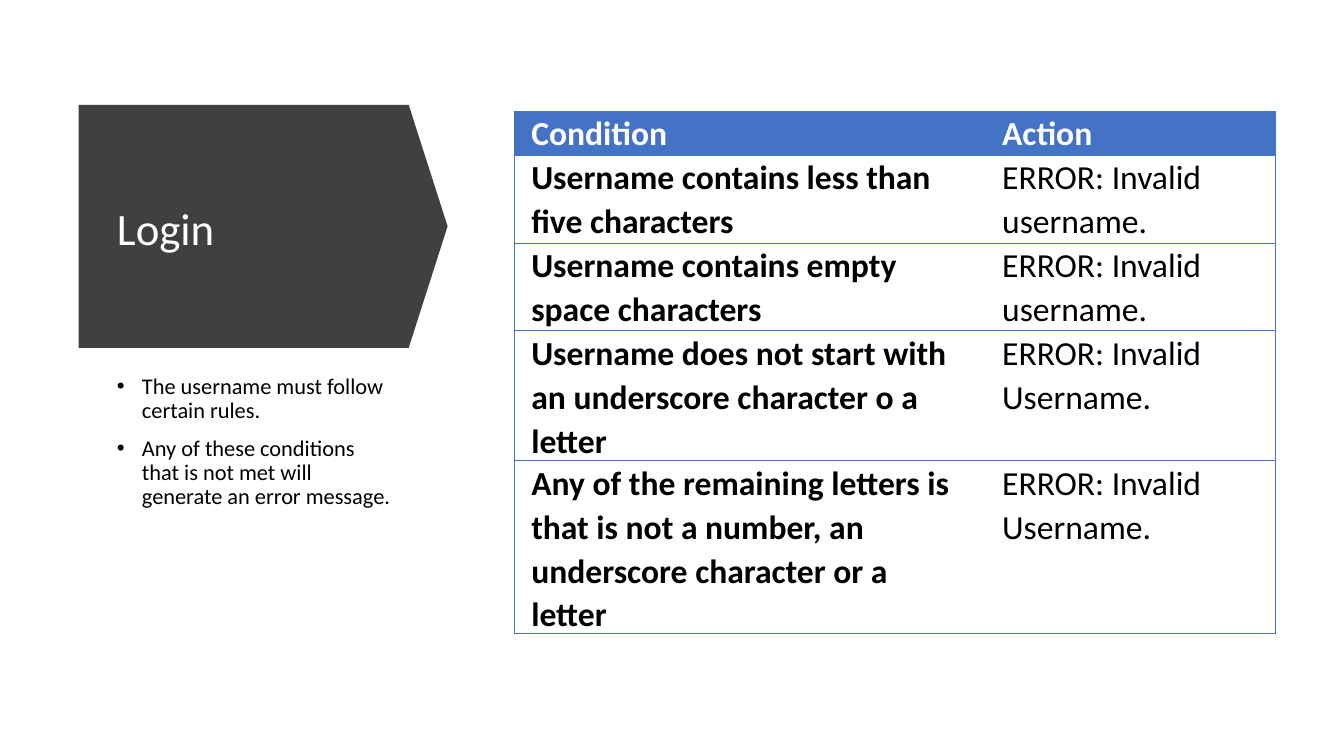
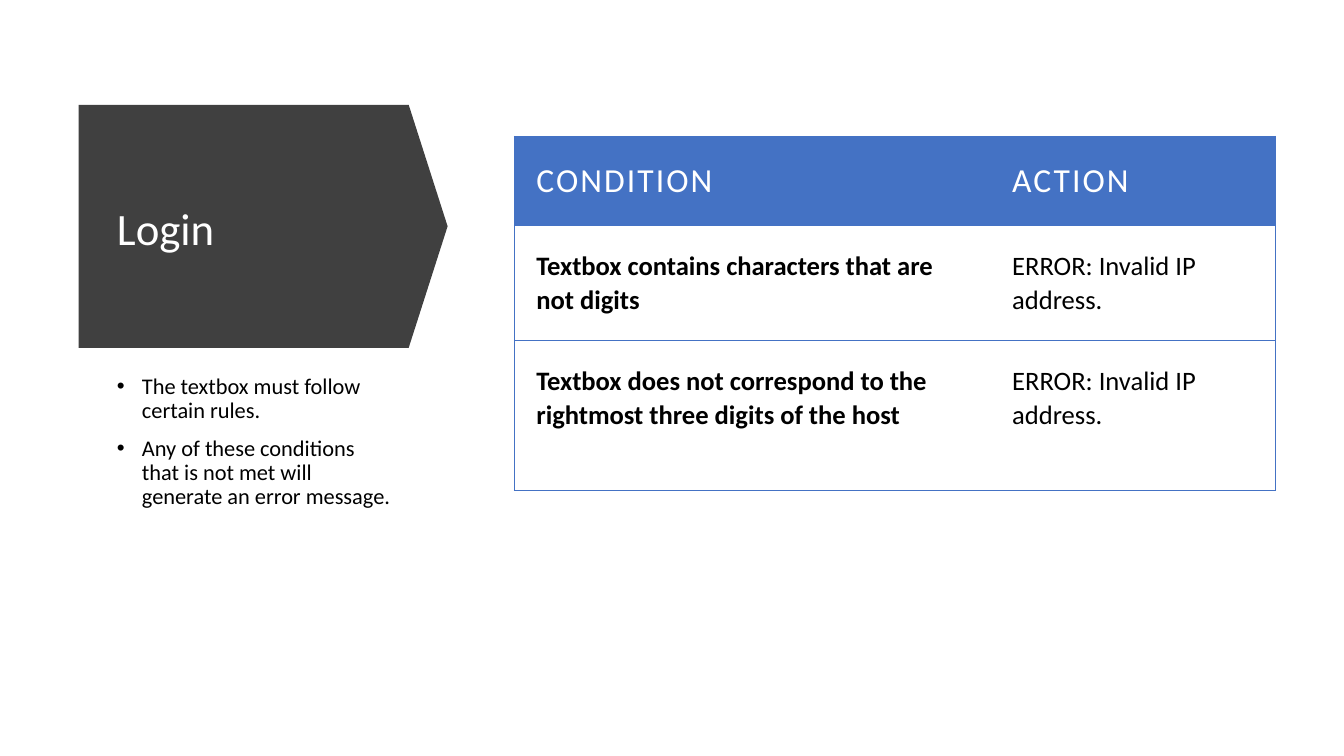
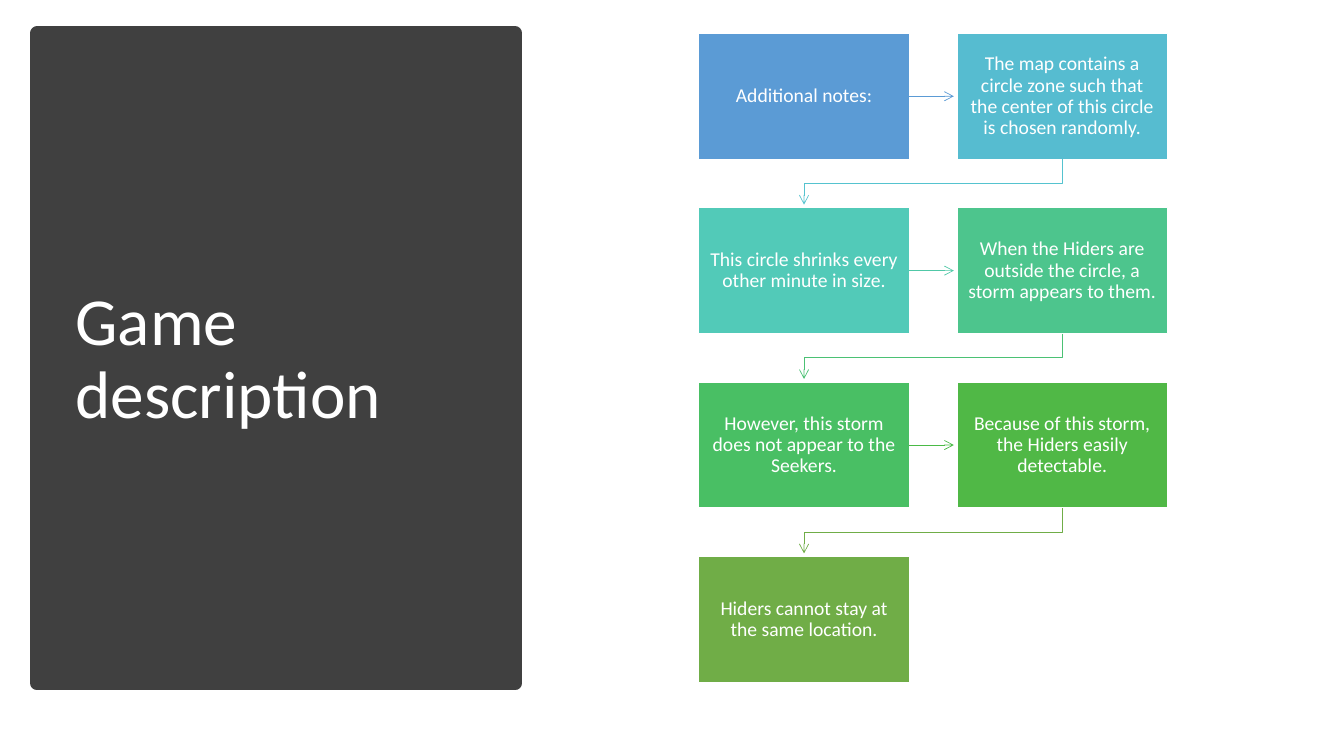
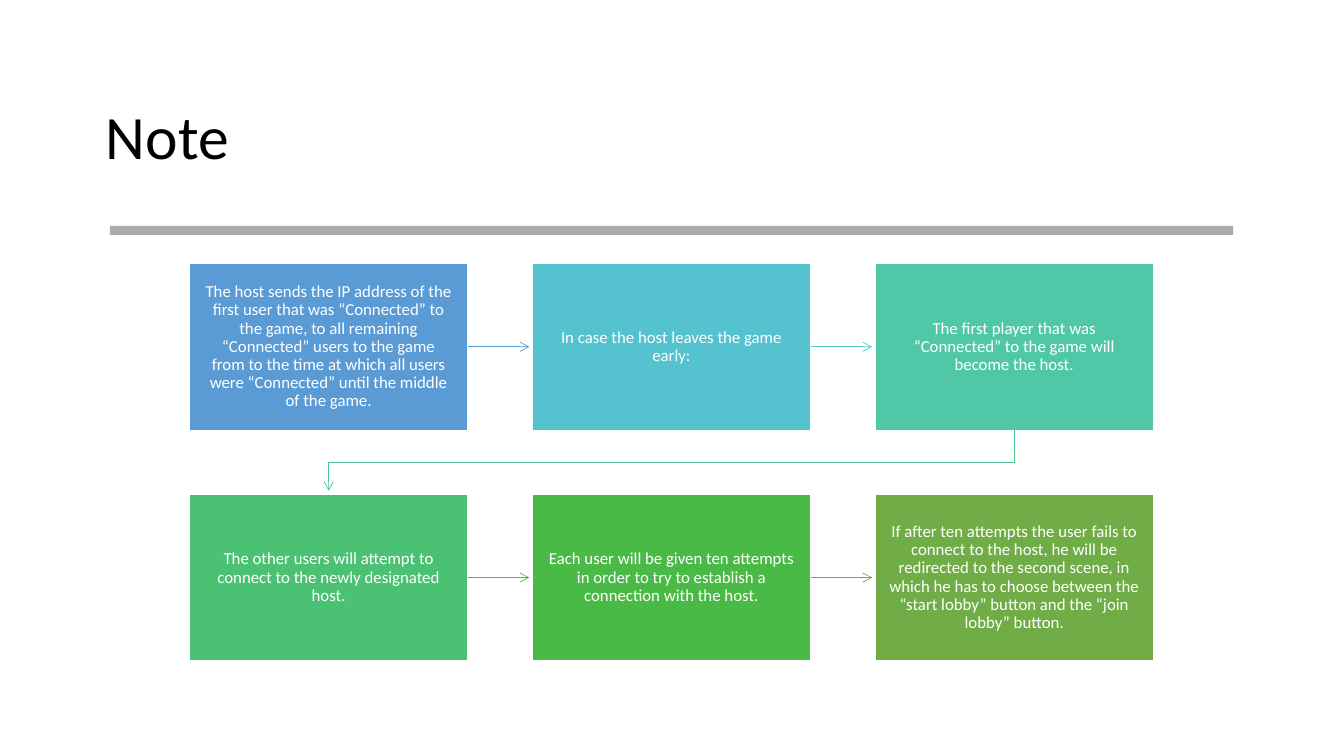
"""Build four slides: two login rule tables and two process flows."""
import lxml.etree
import pptx
import pptx.dml.color
import pptx.enum.shapes
import pptx.enum.text
import pptx.oxml.ns
import pptx.util

Inches = pptx.util.Inches
Pt = pptx.util.Pt
qn = pptx.oxml.ns.qn
MSO_SHAPE = pptx.enum.shapes.MSO_SHAPE
PP_ALIGN = pptx.enum.text.PP_ALIGN
MIDDLE = pptx.enum.text.MSO_ANCHOR.MIDDLE
FONT = "Calibri"
WHITE, BLACK, DARK, BLUE = "FFFFFF", "000000", "404040", "4472C4"


def rgb(value):
    return pptx.dml.color.RGBColor.from_string(value)


def write(tf, text, size, color, spacing=0.9, align=PP_ALIGN.LEFT, bold=False):
    tf.text = text
    tf.word_wrap = True
    for p in tf.paragraphs:
        p.line_spacing = spacing
        p.alignment = align
        for r in p.runs:
            r.font.name = FONT
            r.font.size = Pt(size)
            r.font.bold = bold
            r.font.color.rgb = rgb(color)


prs = pptx.Presentation()
prs.slide_width = Inches(13.33)
prs.slide_height = Inches(7.5)

titles = [
    ("Login", 32, WHITE, (1.06, 1.32, 2.92, 1.95)),
    ("Login", 32, WHITE, (1.06, 1.32, 2.92, 1.95)),
    ("Game description", 48, WHITE, (0.65, 0.7, 4.16, 5.75)),
    ("Note", 44, BLACK, (0.95, 0.66, 11.43, 1.45)),
]
panels = [
    (MSO_SHAPE.PENTAGON, DARK, (0.78, 1.04, 3.66, 2.41)),
    (MSO_SHAPE.PENTAGON, DARK, (0.78, 1.04, 3.66, 2.41)),
    (MSO_SHAPE.RECTANGLE, DARK, (0.37, 0.33, 4.74, 6.45)),
    (MSO_SHAPE.RECTANGLE, "808080", (1.09, 2.24, 11.14, 0.09)),
]
slides, panel_shapes = [], []
for (text, size, color, box), (kind, fill, panel_box) in zip(titles, panels):
    s = prs.slides.add_slide(prs.slide_layouts[5])
    title = s.shapes.title
    title.left, title.top, title.width, title.height = map(Inches, box)
    write(title.text_frame, text, size, color)
    title.text_frame.vertical_anchor = MIDDLE
    title.text_frame.auto_size = pptx.enum.text.MSO_AUTO_SIZE.NONE
    panel = s.shapes.add_shape(kind, *map(Inches, panel_box))
    panel.shadow.inherit = False
    panel.fill.solid()
    panel.fill.fore_color.rgb = rgb(fill)
    panel.line.fill.background()
    title.element.addprevious(panel.element)
    slides.append(s)
    panel_shapes.append(panel)

for arrow_panel in panel_shapes[:2]:
    arrow_panel.adjustments[0] = 0.16
game_panel, note_bar = panel_shapes[2:]
game_panel.line.color.rgb = rgb(DARK)
game_panel.line.width = Pt(10)
bar_color = note_bar.element.spPr.find(qn("a:solidFill"))[0]
lxml.etree.SubElement(bar_color, qn("a:alpha")).set("val", "65000")

tables = [
    {
        "subject": "username", "top": 1.1, "cols": (4.67, 2.88),
        "rows": (0.44, 0.87, 0.87, 1.29, 1.71), "margins": (0.17, 0),
        "size": 24, "head_bold": True, "tracking": 0,
        "cells": [
            ("Condition", "Action"),
            ("Username contains less than five characters", "ERROR: Invalid username."),
            ("Username contains empty space characters", "ERROR: Invalid username."),
            ("Username does not start with an underscore character o a letter",
             "ERROR: Invalid Username."),
            ("Any of the remaining letters is that is not a number, "
             "an underscore character or a letter", "ERROR: Invalid Username."),
        ],
    },
    {
        "subject": "textbox", "top": 1.35, "cols": (4.72, 2.83),
        "rows": (0.89, 1.14, 1.48), "margins": (0.22, 0.22),
        "size": 19, "head_bold": False, "tracking": 150,
        "cells": [
            ("CONDITION", "ACTION"),
            ("Textbox contains characters that are not digits", "ERROR: Invalid IP address."),
            ("Textbox does not correspond to the rightmost three digits of the host",
             "ERROR: Invalid IP address."),
        ],
    },
]
for s, spec in zip(slides, tables):
    rules = s.shapes.add_textbox(Inches(1.06), Inches(3.67), Inches(2.92), Inches(2.65))
    write(rules.text_frame, f"The {spec['subject']} must follow certain rules.\n"
          "Any of these conditions that is not met will generate an error message.", 16, BLACK)
    for p in rules.text_frame.paragraphs:
        p.space_before = Pt(10)
        pPr = p._p.get_or_add_pPr()
        pPr.set("marL", str(Inches(0.25)))
        pPr.set("indent", str(-Inches(0.25)))
        lxml.etree.SubElement(pPr, qn("a:buFont")).set("typeface", "Arial")
        lxml.etree.SubElement(pPr, qn("a:buChar")).set("char", "•")

    table = s.shapes.add_table(len(spec["rows"]), 2, Inches(5.1), Inches(spec["top"]),
                               Inches(7.55), Inches(sum(spec["rows"]))).table
    table.horz_banding = False
    for column, width in zip(table.columns, spec["cols"]):
        column.width = Inches(width)
    for i, height in enumerate(spec["rows"]):
        table.rows[i].height = Inches(height)
        for j, text in enumerate(spec["cells"][i]):
            cell = table.cell(i, j)
            head = i == 0
            write(cell.text_frame, text, 24 if head else spec["size"],
                  WHITE if head else BLACK, 1.07,
                  bold=spec["head_bold"] if head else j == 0)
            cell.margin_left = cell.margin_right = Inches(spec["margins"][0])
            cell.margin_top = cell.margin_bottom = Inches(spec["margins"][1])
            tcPr = cell._tc.get_or_add_tcPr()
            inner = "lnR" if j == 0 else "lnL"
            for side in ("lnL", "lnR", "lnT", "lnB"):
                ln = lxml.etree.SubElement(tcPr, qn("a:" + side), w=str(Pt(0.5)))
                if side == inner:
                    lxml.etree.SubElement(ln, qn("a:noFill"))
                else:
                    line_fill = lxml.etree.SubElement(ln, qn("a:solidFill"))
                    lxml.etree.SubElement(line_fill, qn("a:srgbClr")).set("val", BLUE)
            if head:
                cell.fill.solid()
                cell.fill.fore_color.rgb = rgb(BLUE)
                r = cell.text_frame.paragraphs[0].runs[0]
                r._r.get_or_add_rPr().set("spc", str(spec["tracking"]))
            else:
                cell.fill.background()

flows = [
    {
        "origin": (6.93, 0.33), "pitch": (2.56, 1.73), "box": (2.09, 1.25),
        "columns": 2, "size": 14, "margin": 0.1,
        "steps": [
            ("Additional notes:", "5B9BD5"),
            ("The map contains a circle zone such that the center of this circle "
             "is chosen randomly.", "56BCD0"),
            ("This circle shrinks every other minute in size.", "52CAB8"),
            ("When the Hiders are outside the circle, a storm appears to them.", "4DC58D"),
            ("However, this storm does not appear to the Seekers.", "49BF64"),
            ("Because of this storm, the Hiders easily detectable.", "50B846"),
            ("Hiders cannot stay at the same location.", "70AD47"),
        ],
        "arrows": ["5B9BD5", "55C3CF", "50C8A7", "4BC174", "4ABA46", "70AD47"],
    },
    {
        "origin": (1.88, 2.61), "pitch": (3.4, 2.29), "box": (2.76, 1.66),
        "columns": 3, "size": 12, "margin": 0.14,
        "steps": [
            ("The host sends the IP address of the first user that was “Connected” to the game, "
             "to all remaining “Connected” users to the game from to the time at which all users "
             "were “Connected” until the middle of the game.", "5B9BD5"),
            ("In case the host leaves the game early:", "55C3CF"),
            ("The first player that was “Connected” to the game will become the host.", "50C8A7"),
            ("The other users will attempt to connect to the newly designated host.", "4BC174"),
            ("Each user will be given ten attempts in order to try to establish a connection "
             "with the host.", "4ABA46"),
            ("If after ten attempts the user fails to connect to the host, he will be redirected "
             "to the second scene, in which he has to choose between the “start lobby” button "
             "and the “join lobby” button.", "70AD47"),
        ],
        "arrows": ["5B9BD5", "54CCCD", "4DC58D", "48BB4F", "70AD47"],
    },
]
for s, flow in zip(slides[2:], flows):
    width, height = map(Inches, flow["box"])
    pitch_x, pitch_y = map(Inches, flow["pitch"])
    left, top = map(Inches, flow["origin"])
    clearance = Inches(0.03)
    for i, (text, color) in enumerate(flow["steps"]):
        row, column = divmod(i, flow["columns"])
        x, y = left + column * pitch_x, top + row * pitch_y
        sp = s.shapes.add_shape(MSO_SHAPE.RECTANGLE, x, y, width, height)
        sp.shadow.inherit = False
        sp.fill.solid()
        sp.fill.fore_color.rgb = rgb(color)
        sp.line.color.rgb = rgb(WHITE)
        sp.line.width = Pt(1)
        tf = sp.text_frame
        write(tf, text, flow["size"], WHITE, align=PP_ALIGN.CENTER)
        tf.vertical_anchor = MIDDLE
        tf.margin_left = tf.margin_right = Inches(flow["margin"])
        tf.margin_top = tf.margin_bottom = Inches(flow["margin"])
        if i == len(flow["arrows"]):
            continue
        if column < flow["columns"] - 1:
            middle = y + height // 2
            arrow = s.shapes.add_connector(
                pptx.enum.shapes.MSO_CONNECTOR.STRAIGHT,
                x + width, middle, x + pitch_x - clearance, middle)
        else:
            start_x, end_x = x + width // 2, left + width // 2
            turn_y = y + (height + pitch_y) // 2
            fb = s.shapes.build_freeform(start_x, y + height)
            fb.add_line_segments([(start_x, turn_y), (end_x, turn_y),
                                  (end_x, y + pitch_y - clearance)], close=False)
            arrow = fb.convert_to_shape()
            arrow.fill.background()
        arrow.line.color.rgb = rgb(flow["arrows"][i])
        arrow.line.width = Pt(0.5)
        spPr = arrow.element.spPr
        lxml.etree.SubElement(spPr.find(qn("a:ln")), qn("a:tailEnd")).set("type", "arrow")
        lxml.etree.SubElement(spPr, qn("a:effectLst"))

prs.save("out.pptx")
